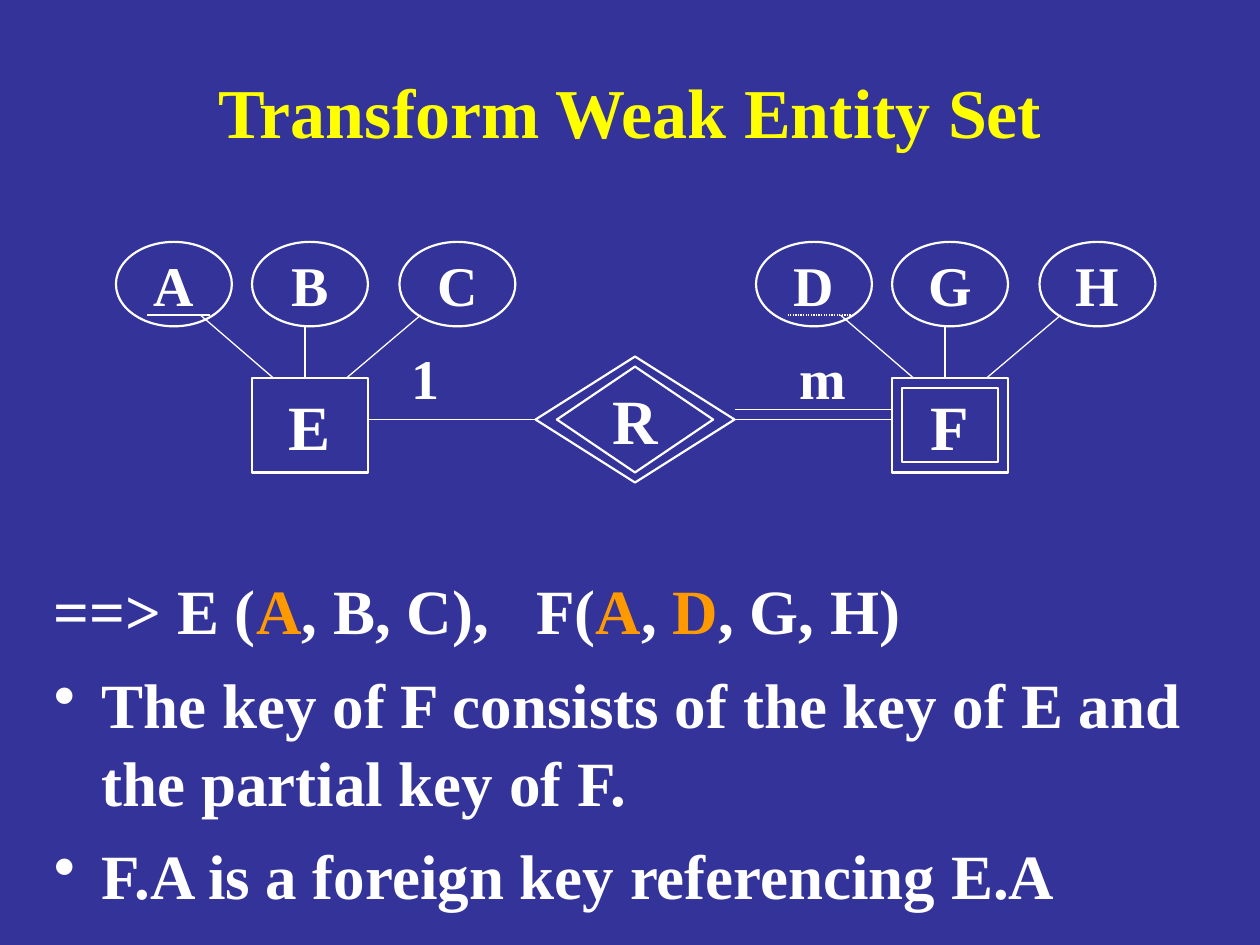
from dataclasses import dataclass

from lxml.etree import SubElement
from pptx import Presentation
from pptx.dml.color import RGBColor
from pptx.enum.dml import MSO_LINE
from pptx.enum.shapes import MSO_CONNECTOR, MSO_SHAPE
from pptx.enum.text import MSO_ANCHOR, PP_ALIGN
from pptx.oxml.ns import qn
from pptx.util import Inches, Pt


@dataclass(frozen=True)
class Theme:
    font: str = "Times New Roman"
    background: RGBColor = RGBColor(0x33, 0x33, 0x99)
    title: RGBColor = RGBColor(0xFF, 0xFF, 0x00)
    ink: RGBColor = RGBColor(0xFF, 0xFF, 0xFF)
    key: RGBColor = RGBColor(0xFF, 0x99, 0x00)
    title_size: int = 40
    body_size: int = 36
    label_size: int = 32
    outline: float = 1.25
    link: float = 0.75


THEME = Theme()


def add_span(para, text, size, color=THEME.ink):
    span = para.add_run()
    span.text = text
    span.font.name = THEME.font
    span.font.size = Pt(size)
    span.font.bold = True
    span.font.color.rgb = color


def set_frame(frame, wrap=False):
    frame.word_wrap = wrap
    frame.vertical_anchor = MSO_ANCHOR.MIDDLE


def add_outline(page, kind, left, top, width, height, text="", size=THEME.label_size):
    """Unfilled shape with an optional centred name."""
    shape = page.shapes.add_shape(
        kind, Inches(left), Inches(top), Inches(width), Inches(height))
    shape.shadow.inherit = False
    shape.fill.background()
    shape.line.color.rgb = THEME.ink
    shape.line.width = Pt(THEME.outline)
    if text:
        set_frame(shape.text_frame)
        para = shape.text_frame.paragraphs[0]
        para.alignment = PP_ALIGN.CENTER
        add_span(para, text, size)
    return shape


def add_link(page, x1, y1, x2, y2):
    link = page.shapes.add_connector(
        MSO_CONNECTOR.STRAIGHT, Inches(x1), Inches(y1), Inches(x2), Inches(y2))
    link.line.color.rgb = THEME.ink
    link.line.width = Pt(THEME.link)
    SubElement(link._element.spPr, qn("a:effectLst"))
    return link


def add_title(page, left, top, width, height):
    title = page.shapes.title
    title.left, title.top = Inches(left), Inches(top)
    title.width, title.height = Inches(width), Inches(height)
    set_frame(title.text_frame, wrap=True)
    para = title.text_frame.paragraphs[0]
    para.alignment = PP_ALIGN.CENTER
    add_span(para, "Transform Weak Entity Set", THEME.title_size, THEME.title)


def add_entity(page, left, top, name, attributes, weak=False):
    """Entity set with three attributes above it; the first one is its key."""
    width, height = 0.92, 0.75
    box_left, box_top = left + 1.08, top + 1.08
    for offset, attribute in zip((0, 1.08, 2.25), attributes):
        add_outline(page, MSO_SHAPE.OVAL, left + offset, top, width, 0.67, attribute)

    # Key underline, dotted for a partial key
    underline = add_link(page, left + 0.25, top + 0.58, left + 0.75, top + 0.58)
    if weak:
        underline.line.dash_style = MSO_LINE.ROUND_DOT

    # Attribute links
    for start, drop, end in ((0.67, 0.58, 1.25), (1.5, 0.67, 1.5), (2.42, 0.58, 1.83)):
        add_link(page, left + start, top + drop, left + end, box_top)

    # Entity box, doubled when weak
    add_outline(page, MSO_SHAPE.RECTANGLE, box_left, box_top, width, height,
                "" if weak else name, THEME.body_size)
    if weak:
        gap = 0.08
        add_outline(page, MSO_SHAPE.RECTANGLE, box_left + gap, box_top + gap,
                    width - 2 * gap, height - 2 * gap, name, THEME.body_size)


def add_cardinality(page, left, top, width, text):
    box = page.shapes.add_textbox(
        Inches(left), Inches(top), Inches(width), Inches(0.64))
    set_frame(box.text_frame)
    add_span(box.text_frame.paragraphs[0], text, THEME.label_size)


def add_relationship(page, left, top, width, height, name, entity_right, weak_left):
    """Double diamond linked to the entity sets on both sides."""
    middle = top + height / 2
    right = left + width
    diamond = add_outline(page, MSO_SHAPE.DIAMOND, left, top, width, height)
    add_outline(page, MSO_SHAPE.DIAMOND, left + 0.17, top + 0.08,
                width - 0.34, height - 0.16, name, THEME.body_size)

    add_link(page, entity_right, middle, left, middle).end_connect(diamond, 1)
    add_link(page, right, middle, weak_left, middle).begin_connect(diamond, 3)
    add_link(page, right, middle - 0.08, weak_left, middle - 0.08)

    add_cardinality(page, 3.17, top - 0.16, 0.42, "1")
    add_cardinality(page, 6.25, top - 0.16, 0.57, "m")


def add_bullet(para):
    props = para._p.get_or_add_pPr()
    props.set("marL", str(Inches(0.38)))
    props.set("indent", str(Inches(-0.38)))
    SubElement(props, qn("a:buChar")).set("char", "•")


def add_tab(para, position):
    tabs = SubElement(para._p.get_or_add_pPr(), qn("a:tabLst"))
    tab = SubElement(tabs, qn("a:tab"))
    tab.set("pos", str(Inches(position)))
    tab.set("algn", "l")


def add_result(page, left, top, width, height):
    """Resulting relations and the notes on their keys."""
    box = page.shapes.add_textbox(
        Inches(left), Inches(top), Inches(width), Inches(height))
    frame = box.text_frame
    frame.word_wrap = True

    # Relations, with key attributes highlighted
    para = frame.paragraphs[0]
    add_tab(para, 3.83)
    para.line_spacing = 1.03
    for text, is_key in (("==> E (", False), ("A", True), (", B, C),\tF(", False),
                         ("A", True), (",", False), (" D", True), (", G, H)", False)):
        add_span(para, text, THEME.body_size, THEME.key if is_key else THEME.ink)

    # Notes
    for text in ("The key of F consists of the key of E and the partial key of F.",
                 "F.A is a foreign key referencing E.A"):
        para = frame.add_paragraph()
        add_bullet(para)
        para.line_spacing = 1.03
        para.space_before = Pt(9)
        add_span(para, text, THEME.body_size)


def main():
    deck = Presentation()
    deck.slide_width, deck.slide_height = Inches(10), Inches(7.5)
    page = deck.slides.add_slide(deck.slide_layouts[5])
    page.background.fill.solid()
    page.background.fill.fore_color.rgb = THEME.background

    add_title(page, 0.75, 0.42, 8.5, 0.92)
    add_entity(page, 0.92, 1.92, "E", "ABC")
    add_entity(page, 6, 1.92, "F", "DGH", weak=True)
    add_relationship(page, 4.25, 2.83, 1.58, 1, "R", entity_right=2.92, weak_left=7.08)
    add_result(page, 0.33, 4.47, 9.33, 2.7)
    deck.save("out.pptx")


if __name__ == "__main__":
    main()
